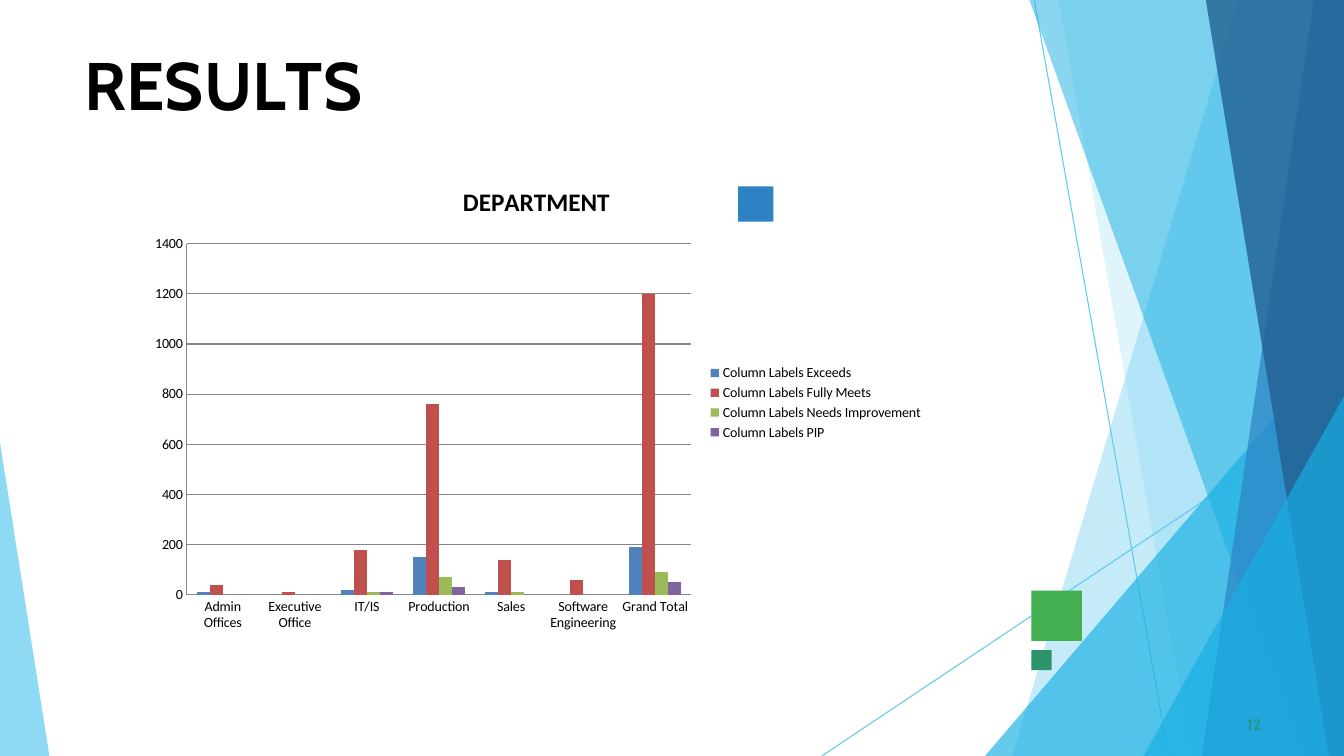
from lxml.etree import SubElement
from pptx import Presentation
from pptx.chart.data import CategoryChartData
from pptx.dml.color import RGBColor
from pptx.enum.chart import XL_CHART_TYPE, XL_LEGEND_POSITION, XL_TICK_MARK
from pptx.enum.shapes import MSO_CONNECTOR, MSO_SHAPE
from pptx.enum.text import MSO_ANCHOR, PP_ALIGN
from pptx.oxml import parse_xml
from pptx.oxml.ns import nsdecls, qn
from pptx.util import Inches, Pt

WIDTH, HEIGHT = 13.33, 7.5


def paint(shape, color, opacity=100):
    shape.shadow.inherit = False
    shape.fill.solid()
    shape.fill.fore_color.rgb = RGBColor.from_string(color)
    shape.line.fill.background()
    if opacity < 100:
        color_element = shape.fill._xPr.find(qn("a:solidFill"))[0]
        SubElement(color_element, qn("a:alpha"), val=str(opacity * 1000))


def write(shape, pieces, size, color, bold, indent, space_before):
    """Fill a shape with runs given as (text, letter spacing in points)."""
    frame = shape.text_frame
    margins = {"margin_left": 0, "margin_top": Inches(0.01), "margin_right": 0,
               "margin_bottom": 0, "word_wrap": True, "vertical_anchor": MSO_ANCHOR.TOP}
    for name, value in margins.items():
        setattr(frame, name, value)
    paragraph = frame.paragraphs[0]
    paragraph.alignment = PP_ALIGN.LEFT
    paragraph.space_before = Pt(space_before)
    paragraph._p.get_or_add_pPr().set("marL", str(Inches(indent)))
    for text, spacing in pieces:
        run = paragraph.add_run()
        run.text = text
        for name, value in {"name": "Cabin", "size": Pt(size), "bold": bold}.items():
            setattr(run.font, name, value)
        run.font.color.rgb = RGBColor.from_string(color)
        run._r.get_or_add_rPr().set("spc", str(round(spacing * 100)))


presentation = Presentation()
presentation.slide_width = Inches(WIDTH)
presentation.slide_height = Inches(HEIGHT)
slide = presentation.slides.add_slide(presentation.slide_layouts[5])
shapes = slide.shapes

# Thin lines behind the bands
for x1, y1, x2, y2 in [(10.26, 0.01, 11.59, HEIGHT), (WIDTH, 4.04, 8.15, HEIGHT)]:
    line = shapes.add_connector(MSO_CONNECTOR.STRAIGHT, *map(Inches, (x1, y1, x2, y2)))
    line.line.color.rgb = RGBColor.from_string("5FCAEE")
    line.line.width = Pt(0.75)
    SubElement(line._element.spPr, qn("a:effectLst"))

# Translucent bands: corners in hundredths of an inch, colour, opacity
RIGHT, BOTTOM = 1333, 750
right_bands = [
    ([(RIGHT, 0), (1228, 0), (1004, BOTTOM)], "5FCAEE", 36),
    ([(RIGHT, 0), (1050, 0), (1182, BOTTOM)], "5FCAEE", 20),
    ([(RIGHT, 333), (977, BOTTOM)], "17AFE3", 66),
    ([(RIGHT, 0), (1021, 0), (1291, BOTTOM)], "17AFE3", 50),
    ([(RIGHT, 0), (1303, 0), (1192, BOTTOM)], "2D83C3", 70),
    ([(RIGHT, 0), (1196, 0), (1318, BOTTOM)], "226192", 80),
    ([(RIGHT, 393), (1134, BOTTOM)], "17AFE3", 66),
]
bands = [(corners + [(RIGHT, BOTTOM)], color, opacity)
         for corners, color, opacity in right_bands]
bands.append(([(0, 439), (0, BOTTOM), (49, BOTTOM)], "5FCAEE", 70))
for corners, color, opacity in bands:
    builder = shapes.build_freeform(*corners[0], scale=Inches(0.01))
    builder.add_line_segments(corners[1:], close=True)
    paint(builder.convert_to_shape(), color, opacity)

# Accent squares
for left, top, side, color in [(10.23, 5.86, 0.5, "42AF51"),
                               (7.32, 1.85, 0.35, "2D83C3"),
                               (10.23, 6.45, 0.2, "2D936B")]:
    square = shapes.add_shape(MSO_SHAPE.RECTANGLE, *map(Inches, (left, top, side, side)))
    paint(square, color)

# Title and page number
title = shapes.title
for name, value in {"left": 0.83, "top": 0.42, "width": 3.9, "height": 0.81}.items():
    setattr(title, name, Inches(value))
write(title, [("R", 0), ("E", -0.4), ("S", 0.1), ("U", -0.3), ("L", -4), ("TS", 0)],
      48, "000000", True, 0.01, 1.1)
page_number = shapes.add_textbox(*map(Inches, (12.33, 7.08, 0.25, 0.21)))
write(page_number, [("12", 0.1)], 11, "2D936B", False, 0.04, 0.6)

# Department chart
ratings = {
    "Exceeds": ("4F81BD", [10, 0, 20, 150, 10, None, 190]),
    "Fully Meets": ("C0504D", [40, 10, 180, 760, 140, 60, 1200]),
    "Needs Improvement": ("9BBB59", [None, 0, 10, 70, 10, None, 90]),
    "PIP": ("8064A2", [0, 0, 10, 30, None, None, 50]),
}
data = CategoryChartData()
data.categories = ["Admin Offices", "Executive Office", "IT/IS", "Production", "Sales",
                   "Software Engineering", "Grand Total"]
for rating, (color, values) in ratings.items():
    data.add_series(f"Column Labels {rating}", values)
chart = shapes.add_chart(XL_CHART_TYPE.COLUMN_CLUSTERED,
                         *map(Inches, (1.38, 1.64, 7.88, 4.71)), data).chart
for name, value in {"name": "Calibri", "size": Pt(10)}.items():
    setattr(chart.font, name, value)
chart.font.color.rgb = RGBColor.from_string("000000")

chart.has_title = True
chart.chart_title.text_frame.text = "DEPARTMENT"
heading = chart.chart_title.text_frame.paragraphs[0].runs[0].font
for name, value in {"name": "Calibri", "size": Pt(18), "bold": True}.items():
    setattr(heading, name, value)
chart.has_legend = True
chart.legend.position = XL_LEGEND_POSITION.RIGHT
chart.legend.include_in_layout = False

plot = chart.plots[0]
plot.gap_width = 150
plot.overlap = 0
plot.vary_by_categories = False
for series, (color, values) in zip(plot.series, ratings.values()):
    series.format.fill.solid()
    series.format.fill.fore_color.rgb = RGBColor.from_string(color)

value_axis = chart.value_axis
for name, value in {"minimum_scale": 0, "maximum_scale": 1400, "major_unit": 200,
                    "has_major_gridlines": True}.items():
    setattr(value_axis, name, value)
for axis in (value_axis, chart.category_axis):
    axis.major_tick_mark = XL_TICK_MARK.NONE
for item in (value_axis, chart.category_axis, value_axis.major_gridlines):
    item.format.line.color.rgb = RGBColor.from_string("868686")
    item.format.line.width = Pt(0.75)

# Plot area as shares of the chart, and a clear chart background
plot_area = chart._chartSpace.chart.plotArea
for old_layout in plot_area.findall(qn("c:layout")):
    plot_area.remove(old_layout)
settings = {"layoutTarget": "inner", "xMode": "edge", "yMode": "edge",
            "x": 0.06, "y": 0.165, "w": 0.635, "h": 0.74}
plot_area.insert(0, parse_xml(f"<c:layout {nsdecls('c')}><c:manualLayout/></c:layout>"))
for name, value in settings.items():
    SubElement(plot_area[0][0], qn(f"c:{name}"), val=str(value))
chart._chartSpace.chart.addnext(parse_xml(
    f"<c:spPr {nsdecls('c', 'a')}><a:noFill/><a:ln><a:noFill/></a:ln></c:spPr>"))

presentation.save("out.pptx")
